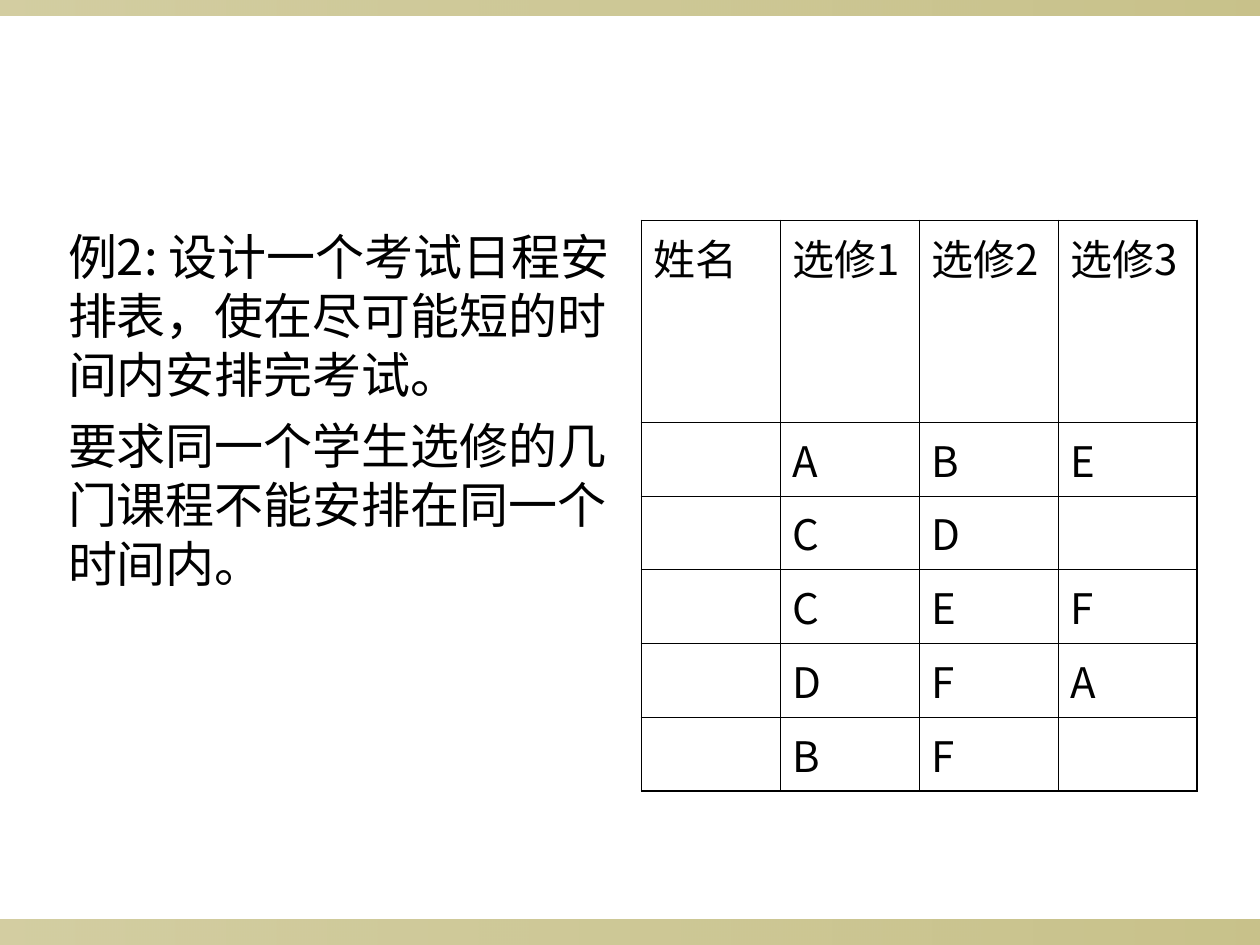
"""Build the exam scheduling slide with its course selection table."""
import pptx
import pptx.dml.color
import pptx.enum.shapes
import pptx.enum.text
import pptx.oxml
import pptx.oxml.ns
import pptx.util
from dataclasses import dataclass
from pptx.util import Inches


@dataclass(frozen=True)
class Theme:
    font: str = "Noto Sans CJK SC"
    ink: str = "000000"
    band: str = "918415"
    band_opacity: tuple = (40, 50)
    problem_size: int = 28
    course_size: int = 24
    outer_line: float = 1.08
    inner_line: float = 0.45


THEME = Theme()
PAGE = (10, 7.5)
BANDS = [(7.3, 0.2), (0, 0.12)]
PROBLEM = [
    "例2: 设计一个考试日程安排表，使在尽可能短的时间内安排完考试。",
    "要求同一个学生选修的几门课程不能安排在同一个时间内。",
]
PROBLEM_BOX = (0.44, 1.75, 4.48, 4.95)
COURSES = [
    ("姓名", "选修1", "选修2", "选修3"),
    ("", "A", "B", "E"),
    ("", "C", "D", ""),
    ("", "C", "E", "F"),
    ("", "D", "F", "A"),
    ("", "B", "F", ""),
]
COURSES_BOX = (5.09, 1.75, 4.41, 4.53)
HEADER_HEIGHT = 1.6


def element(xml):
    return pptx.oxml.parse_xml(xml.replace(">", f" {pptx.oxml.ns.nsdecls('a')}>", 1))


def write(paragraph, text, size, before=0):
    paragraph.space_before = pptx.util.Pt(before)
    paragraph.line_spacing = 1.0
    run = paragraph.add_run()
    run.text = text
    run.font.size = pptx.util.Pt(size)
    run.font.name = THEME.font
    run.font.color.rgb = pptx.dml.color.RGBColor.from_string(THEME.ink)
    east_asian = element("<a:ea></a:ea>")
    east_asian.set("typeface", THEME.font)
    run._r.get_or_add_rPr().append(east_asian)


def add_band(slide, top, height):
    band = slide.shapes.add_shape(
        pptx.enum.shapes.MSO_SHAPE.RECTANGLE, 0, Inches(top), Inches(PAGE[0]), Inches(height))
    band.shadow.inherit = False
    band.line.fill.background()
    band.fill.gradient()
    band.fill.gradient_angle = 0
    for stop in band.fill.gradient_stops:
        stop.color.rgb = pptx.dml.color.RGBColor.from_string(THEME.band)
    colors = band._element.spPr.iter(pptx.oxml.ns.qn("a:srgbClr"))
    for color, opacity in zip(colors, THEME.band_opacity):
        alpha = element("<a:alpha></a:alpha>")
        alpha.set("val", str(opacity * 1000))
        color.append(alpha)


def add_problem(slide):
    problem = slide.placeholders[1]
    problem.left, problem.top, problem.width, problem.height = map(Inches, PROBLEM_BOX)
    frame = problem.text_frame
    frame.word_wrap = True
    frame.auto_size = pptx.enum.text.MSO_AUTO_SIZE.NONE
    frame.margin_top = Inches(0.05)
    frame.margin_right = Inches(0.08)
    for index, sentence in enumerate(PROBLEM):
        paragraph = frame.add_paragraph() if index else frame.paragraphs[0]
        properties = paragraph._p.get_or_add_pPr()
        properties.set("marL", "0")
        properties.set("indent", "0")
        properties.append(element("<a:buNone></a:buNone>"))
        write(paragraph, sentence, THEME.problem_size, before=7 if index else 0)


def set_borders(cell, outer_sides):
    for side in "LRTB":
        width = THEME.outer_line if side in outer_sides else THEME.inner_line
        border = element(
            f'<a:ln{side}><a:solidFill><a:srgbClr val="{THEME.ink}"/></a:solidFill></a:ln{side}>')
        border.set("w", str(int(pptx.util.Pt(width))))
        cell._tc.get_or_add_tcPr().append(border)


def add_courses(slide):
    row_count, column_count = len(COURSES), len(COURSES[0])
    table = slide.shapes.add_table(row_count, column_count, *map(Inches, COURSES_BOX)).table
    table.first_row = table.horz_banding = False
    row_height = (COURSES_BOX[3] - HEADER_HEIGHT) / (row_count - 1)
    for column in table.columns:
        column.width = Inches(COURSES_BOX[2] / column_count)
    for r, courses in enumerate(COURSES):
        table.rows[r].height = Inches(row_height if r else HEADER_HEIGHT)
        for c, course in enumerate(courses):
            cell = table.cell(r, c)
            edges = {"L": c == 0, "R": c == column_count - 1,
                     "T": r == 0, "B": r == row_count - 1}
            set_borders(cell, [side for side, outer in edges.items() if outer])
            cell.fill.background()
            if course:
                write(cell.text_frame.paragraphs[0], course, THEME.course_size)


def main():
    deck = pptx.Presentation()
    deck.slide_width, deck.slide_height = map(Inches, PAGE)
    slide = deck.slides.add_slide(deck.slide_layouts[1])
    title = slide.shapes.title._element
    title.getparent().remove(title)
    for top, height in BANDS:
        add_band(slide, top, height)
    add_problem(slide)
    add_courses(slide)
    deck.save("out.pptx")


if __name__ == "__main__":
    main()
